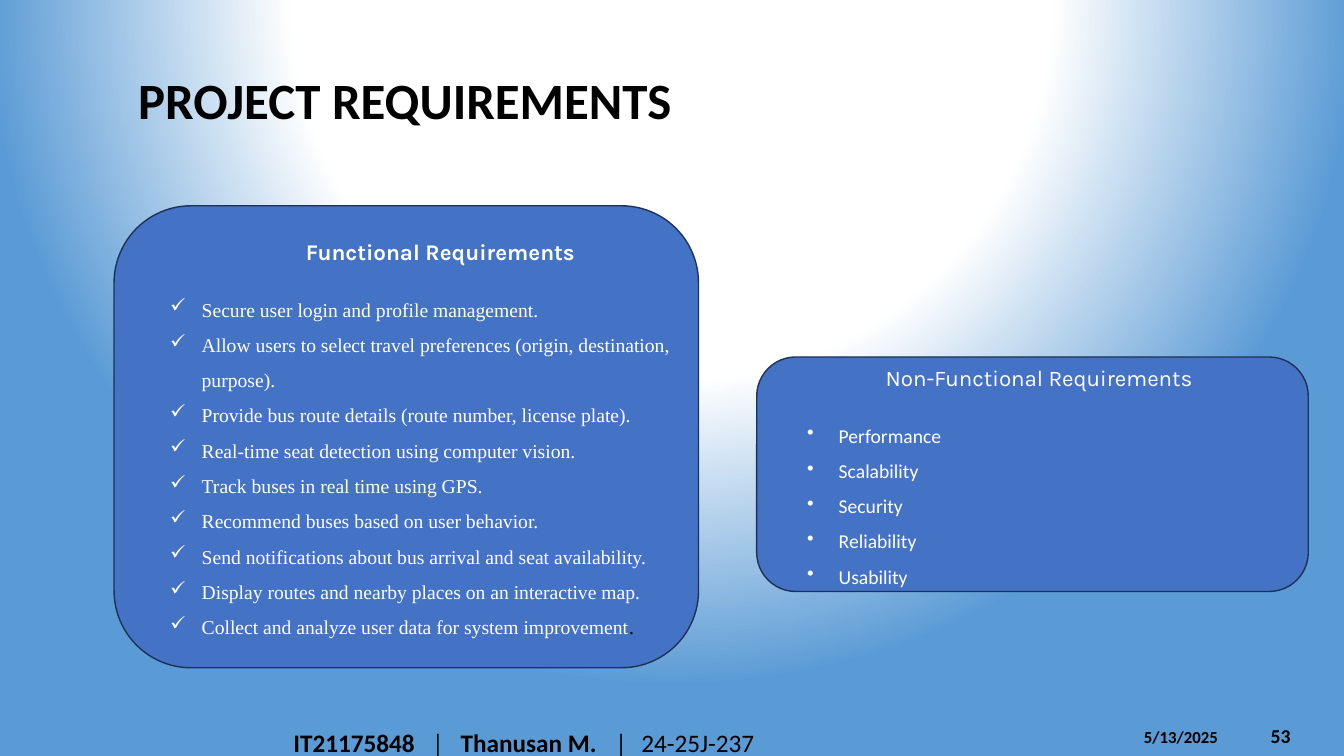
from lxml.etree import SubElement
from pptx import Presentation
from pptx.dml.color import RGBColor
from pptx.enum.shapes import MSO_SHAPE
from pptx.enum.text import MSO_ANCHOR, MSO_AUTO_SIZE, PP_ALIGN
from pptx.oxml.ns import qn
from pptx.util import Pt

COLORS = {"ink": "000000", "paper": "FFFFFF", "sky": "5B9BD5",
          "card": "4472C4", "edge": "1E3256"}
NEEDS = [
    "Secure user login and profile management.",
    "Allow users to select travel preferences (origin, destination, purpose).",
    "Provide bus route details (route number, license plate).",
    "Real-time seat detection using computer vision.",
    "Track buses in real time using GPS.",
    "Recommend buses based on user behavior.",
    "Send notifications about bus arrival and seat availability.",
    "Display routes and nearby places on an interactive map.",
    "Collect and analyze user data for system improvement",
]
TRAITS = ["Performance", "Scalability", "Security", "Reliability", "Usability"]


class Deck:
    def __init__(self):
        self.file = Presentation()
        self.file.slide_width, self.file.slide_height = Pt(960), Pt(540)
        self.slide = self.file.slides.add_slide(self.file.slide_layouts[5])

    def color(self, name):
        return RGBColor.from_string(COLORS[name])

    def glow(self, stops):
        """Fill the background with a circular gradient centred above the slide."""
        self.slide.background.fill.gradient()
        grad = self.slide.element.find(".//" + qn("a:gradFill"))
        for part in list(grad):
            grad.remove(part)
        parts = SubElement(grad, qn("a:gsLst"))
        for pos, name in stops:
            stop = SubElement(parts, qn("a:gs"), pos=str(pos * 1000))
            SubElement(stop, qn("a:srgbClr"), val=COLORS[name])
        ring = SubElement(grad, qn("a:path"), path="circle")
        SubElement(ring, qn("a:fillToRect"), l="50000", t="-80000",
                   r="50000", b="180000")

    def place(self, shape, box):
        shape.left, shape.top, shape.width, shape.height = map(Pt, box)

    def style(self, run, size, bold=False, color="ink", face="Calibri"):
        font = run.font
        font.name, font.size, font.bold = face, Pt(size), bold
        font.color.rgb = self.color(color)

    def title(self, text, box, size):
        shape = self.slide.shapes.title
        self.place(shape, box)
        frame = shape.text_frame
        frame.text = text
        frame.auto_size = MSO_AUTO_SIZE.NONE
        frame.vertical_anchor = MSO_ANCHOR.TOP
        para = frame.paragraphs[0]
        para.alignment, para.line_spacing = PP_ALIGN.LEFT, 0.8
        self.style(para.runs[0], size, True)

    def card(self, box):
        shape = self.slide.shapes.add_shape(
            MSO_SHAPE.ROUNDED_RECTANGLE, *map(Pt, box))
        shape.shadow.inherit = False
        shape.fill.solid()
        shape.fill.fore_color.rgb = self.color("card")
        shape.line.color.rgb = self.color("edge")
        shape.line.width = Pt(1)

    def frame(self, box):
        frame = self.slide.shapes.add_textbox(*map(Pt, box)).text_frame
        frame.word_wrap = True
        return frame

    def label(self, box, runs, size, tabs=()):
        """Write one line from (text, bold) runs, with optional tab stops."""
        frame = self.frame(box)
        frame.vertical_anchor = MSO_ANCHOR.MIDDLE
        para = frame.paragraphs[0]
        if tabs:
            stops = SubElement(para._p.get_or_add_pPr(), qn("a:tabLst"))
            for tab in tabs:
                SubElement(stops, qn("a:tab"), pos=str(Pt(tab)), algn="l")
        for text, bold in runs:
            run = para.add_run()
            run.text = text
            self.style(run, size, bold)

    def list(self, box, head, items, inset, mark, left, face, bold):
        """Write a heading and its bulleted items; return the last paragraph."""
        frame = self.frame(box)
        para = frame.paragraphs[0]
        para.text = head
        para.line_spacing, para.space_after = 1.07, Pt(15)
        para._p.get_or_add_pPr().set("marL", str(Pt(inset)))
        self.style(para.runs[0], 16, bold, "paper", "Karla")
        for item in items:
            para = frame.add_paragraph()
            para.text = item
            para.line_spacing = 1.5
            props = para._p.get_or_add_pPr()
            props.set("marL", str(Pt(left)))
            props.set("indent", str(Pt(-22.5)))
            SubElement(props, qn("a:buChar"), char=mark)
            self.style(para.runs[0], 14, False, "paper", face)
        return para


def main():
    deck = Deck()
    deck.glow([(0, "paper"), (49, "paper"), (89, "sky")])
    deck.title("PROJECT REQUIREMENTS", (91.5, 54, 816, 107), 36.3)
    deck.card((81.5, 147, 417.5, 330))
    deck.card((540.5, 255, 394, 167.5))
    last = deck.list((114.5, 165, 385, 295), "Functional Requirements", NEEDS,
                     97, "✓", 22.5, "Times New Roman", True)
    dot = last.add_run()
    dot.text = "."
    deck.style(dot, 14, face="Times New Roman")
    deck.list((533.5, 255, 368.5, 168.5), "Non-Functional Requirements", TRAITS,
              92, "•", 58.5, "Calibri", False)
    deck.label((202.5, 516, 536, 29),
               [("IT21175848", True), ("\t|\t", False),
                ("Thanusan M.", True), ("\t|\t24-25J-237", False)],
               18, (99, 119.5, 230, 248.5))
    deck.label((810, 515, 84.5, 22), [("5/13/2025", True)], 12)
    deck.label((900.5, 511, 53.5, 29), [("53", True)], 14)
    deck.file.save("out.pptx")


if __name__ == "__main__":
    main()
